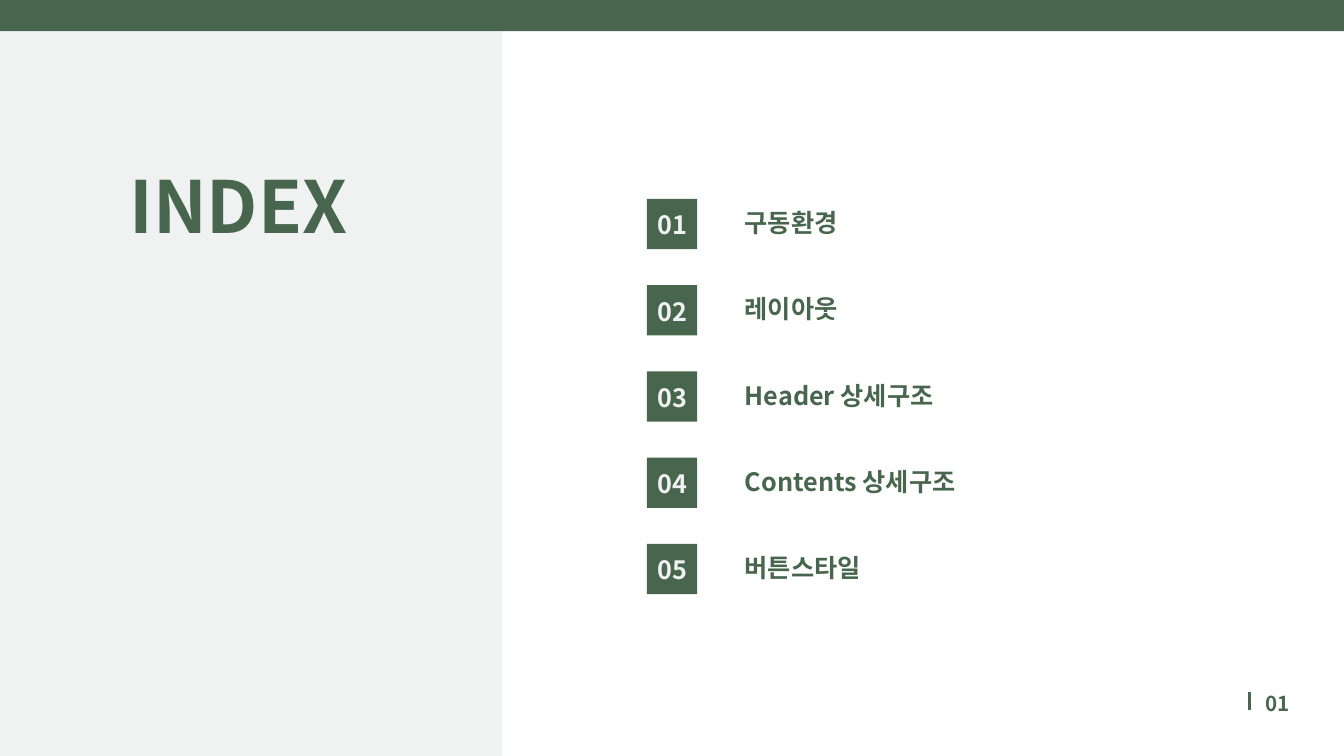
from lxml import etree
from pptx import Presentation
from pptx.dml.color import RGBColor
from pptx.enum.shapes import MSO_CONNECTOR, MSO_SHAPE
from pptx.enum.text import MSO_ANCHOR, PP_ALIGN
from pptx.oxml.ns import qn
from pptx.util import Pt

RECTANGLE = MSO_SHAPE.RECTANGLE
STRAIGHT = MSO_CONNECTOR.STRAIGHT
TOP, MIDDLE = MSO_ANCHOR.TOP, MSO_ANCHOR.MIDDLE
LEFT, CENTER, RIGHT = PP_ALIGN.LEFT, PP_ALIGN.CENTER, PP_ALIGN.RIGHT

TITLE = "INDEX"
PAGE_NUMBER = "01"
ENTRIES = [
    ("구동환경", 191),
    ("레이아웃", 191),
    ("Header 상세구조", 205),
    ("Contents 상세구조", 241),
    ("버튼스타일", 191),
]

FONT = "Noto Sans CJK KR"
GREEN = "48664D"
PALE = "F0F1F1"
WIDTH, HEIGHT = 1440, 810
BAR_HEIGHT = 33.5
PANEL_WIDTH = 538
FIRST_ROW, ROW_STEP = 213, 92.4
BADGE_LEFT, BADGE_SIZE = 693, 54
LABEL_LEFT = 798

deck = Presentation()
deck.slide_width, deck.slide_height = Pt(WIDTH), Pt(HEIGHT)
page = deck.slides.add_slide(deck.slide_layouts[6])


def color(value):
    return RGBColor.from_string(value)


def add_block(left, top, width, height, fill):
    block = page.shapes.add_shape(RECTANGLE, Pt(left), Pt(top), Pt(width), Pt(height))
    block.shadow.inherit = False
    block.fill.solid()
    block.fill.fore_color.rgb = color(fill)
    block.line.fill.background()


def add_text(text, left, top, width, height, size=27, ink=GREEN, spacing=32.4,
             align=LEFT, anchor=MIDDLE, inset=0):
    box = page.shapes.add_textbox(Pt(left), Pt(top), Pt(width), Pt(height))
    frame = box.text_frame
    frame.word_wrap = True
    frame.vertical_anchor = anchor
    frame.margin_left = frame.margin_right = Pt(inset)
    frame.margin_top = frame.margin_bottom = Pt(inset)
    para = frame.paragraphs[0]
    para.alignment = align
    para.line_spacing = Pt(spacing)
    span = para.add_run()
    span.text = text
    span.font.size = Pt(size)
    span.font.bold = True
    span.font.name = FONT
    span.font.color.rgb = color(ink)
    east_asian = etree.SubElement(span.font._element, qn("a:ea"))
    east_asian.set("typeface", FONT)


def add_rule(left, top, bottom):
    rule = page.shapes.add_connector(STRAIGHT, Pt(left), Pt(top), Pt(left), Pt(bottom))
    rule.line.color.rgb = color(GREEN)
    rule.line.width = Pt(3.75)
    etree.SubElement(rule._element.spPr, qn("a:effectLst"))


for index, (label, label_width) in enumerate(ENTRIES):
    top = FIRST_ROW + index * ROW_STEP
    add_block(BADGE_LEFT, top, BADGE_SIZE, BADGE_SIZE, GREEN)
    add_text(f"{index + 1:02d}", BADGE_LEFT, top - 3.75, BADGE_SIZE, 57.75,
             ink=PALE, spacing=37.8, align=CENTER, inset=4)
    add_text(label, LABEL_LEFT, top + 9, label_width, 33)

add_block(0, BAR_HEIGHT, PANEL_WIDTH, HEIGHT - BAR_HEIGHT, PALE)
add_block(0, 0, WIDTH, BAR_HEIGHT, GREEN)
add_text(TITLE, 42, 157.5, 427, 99.5, size=77, spacing=107.8, align=CENTER, anchor=TOP)
add_rule(1338.5, 741.5, 761)
add_text(PAGE_NUMBER, 1347, 736, 34.5, 30, size=22, spacing=30.8, align=RIGHT, anchor=TOP)

deck.save("out.pptx")
